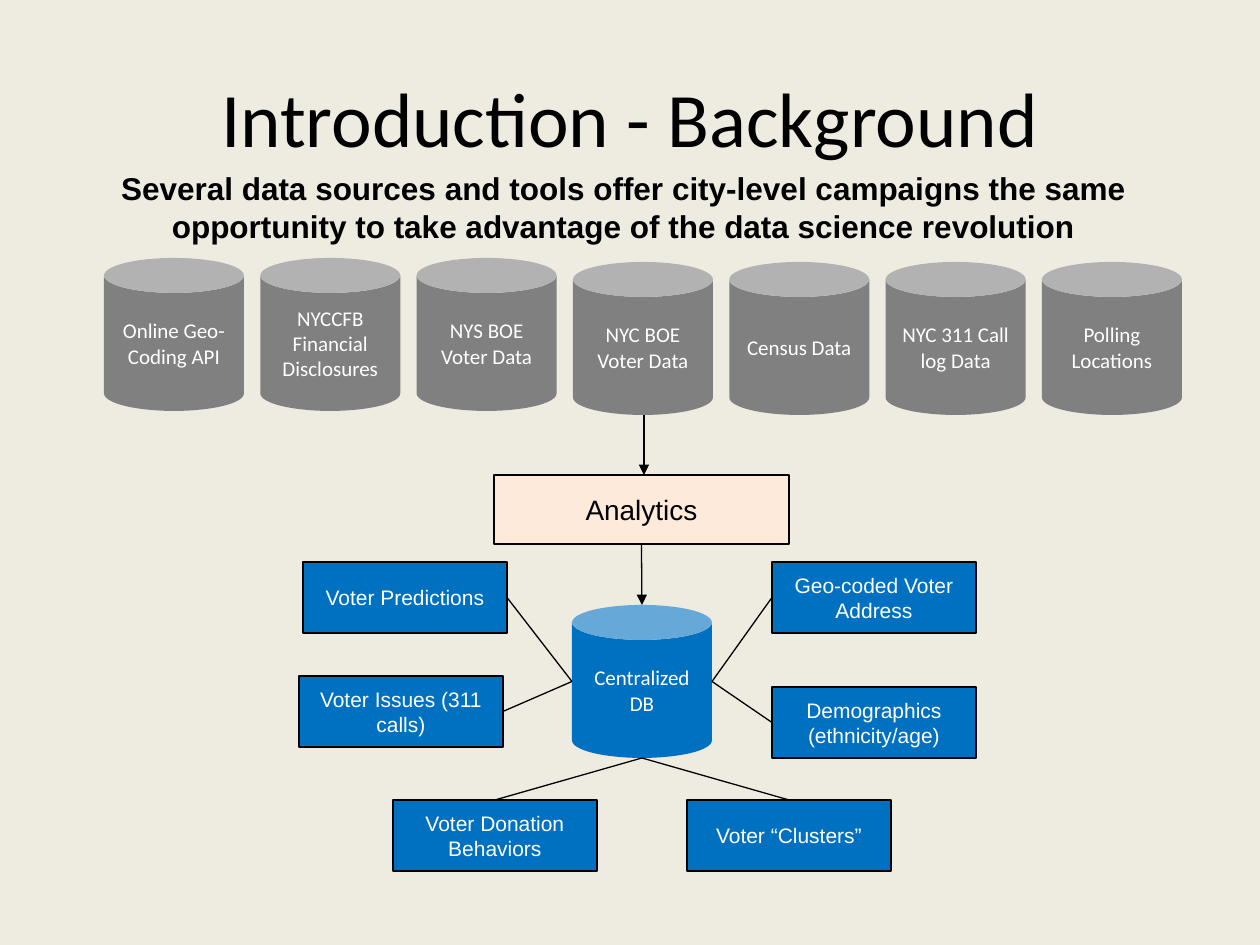
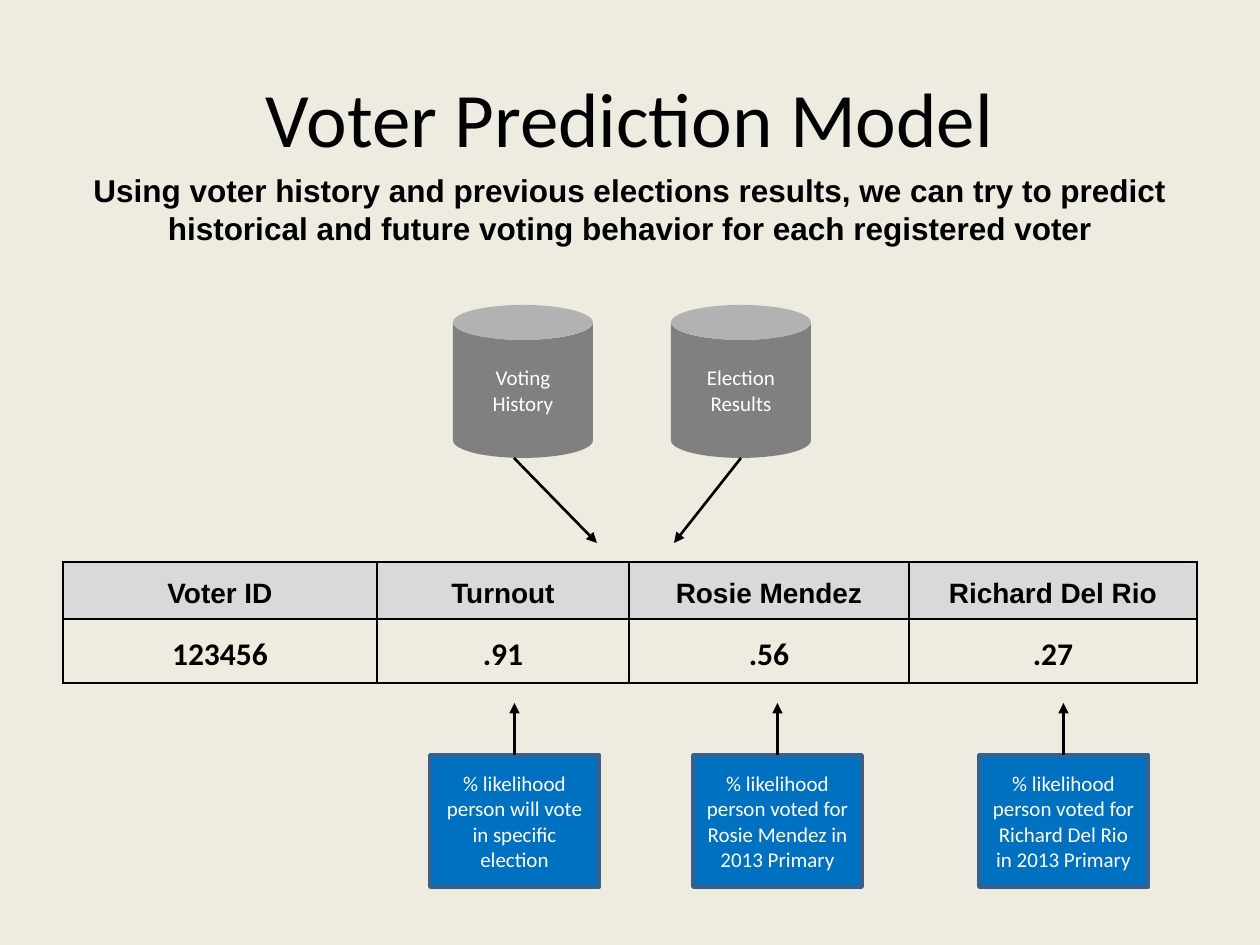
import pptx
import pptx.util
import pptx.dml.color
import pptx.enum.shapes
import pptx.enum.text
import pptx.oxml
import pptx.oxml.ns
from lxml import etree

RGB = pptx.dml.color.RGBColor
SHAPE = pptx.enum.shapes.MSO_SHAPE
Pt = pptx.util.Pt

PAPER = RGB(0xEE, 0xEC, 0xE1)
BLACK = RGB(0, 0, 0)
WHITE = RGB(0xFF, 0xFF, 0xFF)
GRAY = RGB(0x80, 0x80, 0x80)
BLUE = RGB(0x00, 0x70, 0xC0)
NAVY = RGB(0x3A, 0x5F, 0x8C)
PEACH = RGB(0xFD, 0xEA, 0xDA)
SILVER = RGB(0xD9, 0xD9, 0xD9)
SANS, ARIAL = "Calibri", "Arial"

# Content; places are left, top, width, height in px, 126 px to the inch
PX_PER_INCH = 126
TITLE_BOX = (63, 38, 1134, 158)
CAN_SIZE = (140, 153)

BACKGROUND = {
    "title": "Introduction - Background",
    "message": "Several data sources and tools offer city-level campaigns the same "
               "opportunity to take advantage of the data science revolution",
    "message_box": (76, 163, 1095, 146),
}
SOURCES = [  # label, top
    ("Online Geo-Coding API", 258),
    ("NYCCFB Financial Disclosures", 258),
    ("NYS BOE Voter Data", 258),
    ("NYC BOE Voter Data", 262),
    ("Census Data", 262),
    ("NYC 311 Call log Data", 262),
    ("Polling Locations", 262),
]
SOURCES_LEFT, SOURCES_RIGHT = 104, 1182
ANALYTICS_BOX = (494, 475, 295, 69)
HUB_BOX = (572, 605, *CAN_SIZE)
OUTPUT_SIZE = (204, 71)
OUTPUTS = [  # label, left, top, side of the box, side of the hub
    ("Voter Predictions", 303, 562, "right", "left"),
    ("Geo-coded Voter Address", 772, 562, "left", "right"),
    ("Demographics (ethnicity/age)", 772, 687, "left", "right"),
    ("Voter Issues (311 calls)", 299, 676, "right", "left"),
    ("Voter “Clusters”", 687, 800, "top", "bottom"),
    ("Voter Donation Behaviors", 393, 800, "top", "bottom"),
]

PREDICTION = {
    "title": "Voter Prediction Model",
    "message": "Using voter history and previous elections results, we can try to predict "
               "historical and future voting behavior for each registered voter",
    "message_box": (38, 165, 1184, 146),
}
INPUTS = [  # label, left, arrow start, arrow end
    ("Voting History", 453, (514, 458), (597, 543)),
    ("Election Results", 671, (741, 458), (674, 543)),
]
INPUTS_TOP = 305
SCORES = [
    ["Voter ID", "Turnout", "Rosie Mendez", "Richard Del Rio"],
    ["123456", ".91", ".56", ".27"],
]
SCORE_LEFT, SCORE_TOP = 63, 562
SCORE_COLS, SCORE_ROWS = (314, 252, 280, 288), (57, 64)
ROW_STYLES = [(ARIAL, 16, SILVER), (SANS, 18, None)]
NOTES = [  # label, left
    ("% likelihood person will vote in specific election", 430),
    ("% likelihood person voted for Rosie Mendez in 2013 Primary", 693),
    ("% likelihood person voted for Richard Del Rio in 2013 Primary", 979),
]
NOTE_TOP, NOTE_SIZE, NOTE_ARROW_END = 755, (169, 132), 703


def px(n):
    return pptx.util.Emu(round(n * 914400 / PX_PER_INCH))


def edge(box, side):
    """Middle of one side of a box."""
    x, y, w, h = box
    return {"left": (x, y + h / 2), "right": (x + w, y + h / 2),
            "top": (x + w / 2, y), "bottom": (x + w / 2, y + h)}[side]


def write(tf, text, font, size, color, bold=False):
    tf.text = text
    tf.word_wrap = True
    p = tf.paragraphs[0]
    p.alignment = pptx.enum.text.PP_ALIGN.CENTER
    r = p.runs[0]
    r.font.name, r.font.size, r.font.bold = font, Pt(size), bold
    r.font.color.rgb = color
    return p


def add_block(s, kind, box, text, fill, font=SANS, size=12, color=WHITE, line=None, width=0.75):
    sp = s.shapes.add_shape(kind, *map(px, box))
    sp.shadow.inherit = False
    sp.fill.solid()
    sp.fill.fore_color.rgb = fill
    if line is None:
        sp.line.fill.background()
    else:
        sp.line.color.rgb = line
        sp.line.width = Pt(width)
    sp.text_frame.vertical_anchor = pptx.enum.text.MSO_ANCHOR.MIDDLE
    write(sp.text_frame, text, font, size, color)


def add_line(s, start, end, width=0.75, arrow=False):
    c = s.shapes.add_connector(pptx.enum.shapes.MSO_CONNECTOR.STRAIGHT,
                               *map(px, (*start, *end)))
    c.line.color.rgb = BLACK
    c.line.width = Pt(width)
    if arrow:
        etree.SubElement(c.line._get_or_add_ln(), pptx.oxml.ns.qn("a:tailEnd"), type="triangle")
    etree.SubElement(c._element.spPr, pptx.oxml.ns.qn("a:effectLst"))


def add_borders(cell):
    tcPr = cell._tc.get_or_add_tcPr()
    for side in "LRTB":
        tcPr.append(pptx.oxml.parse_xml(
            f'<a:ln{side} {pptx.oxml.ns.nsdecls("a")} w="12700"><a:solidFill>'
            f'<a:srgbClr val="{BLACK}"/></a:solidFill></a:ln{side}>'))


def add_slide(prs, content):
    """Slide with the shared title and bold message."""
    s = prs.slides.add_slide(prs.slide_layouts[5])
    title = s.shapes.title
    title.left, title.top, title.width, title.height = map(px, TITLE_BOX)
    title.text_frame.vertical_anchor = pptx.enum.text.MSO_ANCHOR.MIDDLE
    write(title.text_frame, content["title"], SANS, 44, BLACK)
    tb = s.shapes.add_textbox(*map(px, content["message_box"]))
    write(tb.text_frame, content["message"], ARIAL, 18, BLACK, bold=True)
    return s


def build_background(prs):
    s = add_slide(prs, BACKGROUND)

    # Row of data sources
    step = (SOURCES_RIGHT - SOURCES_LEFT - CAN_SIZE[0]) / (len(SOURCES) - 1)
    for i, (label, top) in enumerate(SOURCES):
        add_block(s, SHAPE.CAN, (SOURCES_LEFT + i * step, top, *CAN_SIZE), label, GRAY)

    # Analytics feeding the central database
    add_block(s, SHAPE.RECTANGLE, ANALYTICS_BOX, "Analytics", PEACH, ARIAL, 16, BLACK, BLACK)
    add_block(s, SHAPE.CAN, HUB_BOX, "Centralized DB", BLUE)
    add_line(s, (644, 415), (644, 475), arrow=True)
    add_line(s, edge(ANALYTICS_BOX, "bottom"), edge(HUB_BOX, "top"), arrow=True)

    # Outputs around the database
    for label, left, top, side, hub_side in OUTPUTS:
        box = (left, top, *OUTPUT_SIZE)
        add_block(s, SHAPE.RECTANGLE, box, label, BLUE, ARIAL, line=BLACK)
        add_line(s, edge(HUB_BOX, hub_side), edge(box, side))


def build_prediction(prs):
    s = add_slide(prs, PREDICTION)

    # Inputs
    for label, left, start, end in INPUTS:
        add_block(s, SHAPE.CAN, (left, INPUTS_TOP, *CAN_SIZE), label, GRAY)
        add_line(s, start, end, 1.5, arrow=True)

    # Score table
    box = (SCORE_LEFT, SCORE_TOP, sum(SCORE_COLS), sum(SCORE_ROWS))
    table = s.shapes.add_table(len(SCORE_ROWS), len(SCORE_COLS), *map(px, box)).table
    table.first_row = table.horz_banding = False
    for col, width in zip(table.columns, SCORE_COLS):
        col.width = px(width)
    for row, height, values, (font, size, fill) in zip(table.rows, SCORE_ROWS, SCORES, ROW_STYLES):
        row.height = px(height)
        for cell, value in zip(row.cells, values):
            add_borders(cell)
            if fill is None:
                cell.fill.background()
            else:
                cell.fill.solid()
                cell.fill.fore_color.rgb = fill
            cell.vertical_anchor = pptx.enum.text.MSO_ANCHOR.MIDDLE
            write(cell.text_frame, value, font, size, BLACK, bold=True).line_spacing = 1.2

    # Notes pointing up at the scores
    for label, left in NOTES:
        box = (left, NOTE_TOP, *NOTE_SIZE)
        add_block(s, SHAPE.RECTANGLE, box, label, BLUE, line=NAVY, width=2)
        x, y = edge(box, "top")
        add_line(s, (x, y), (x, NOTE_ARROW_END), 1.5, arrow=True)


def main():
    prs = pptx.Presentation()
    prs.slide_width, prs.slide_height = px(1260), px(945)
    fill = prs.slide_master.background.fill
    fill.solid()
    fill.fore_color.rgb = PAPER
    build_background(prs)
    build_prediction(prs)
    prs.save("out.pptx")


if __name__ == "__main__":
    main()
